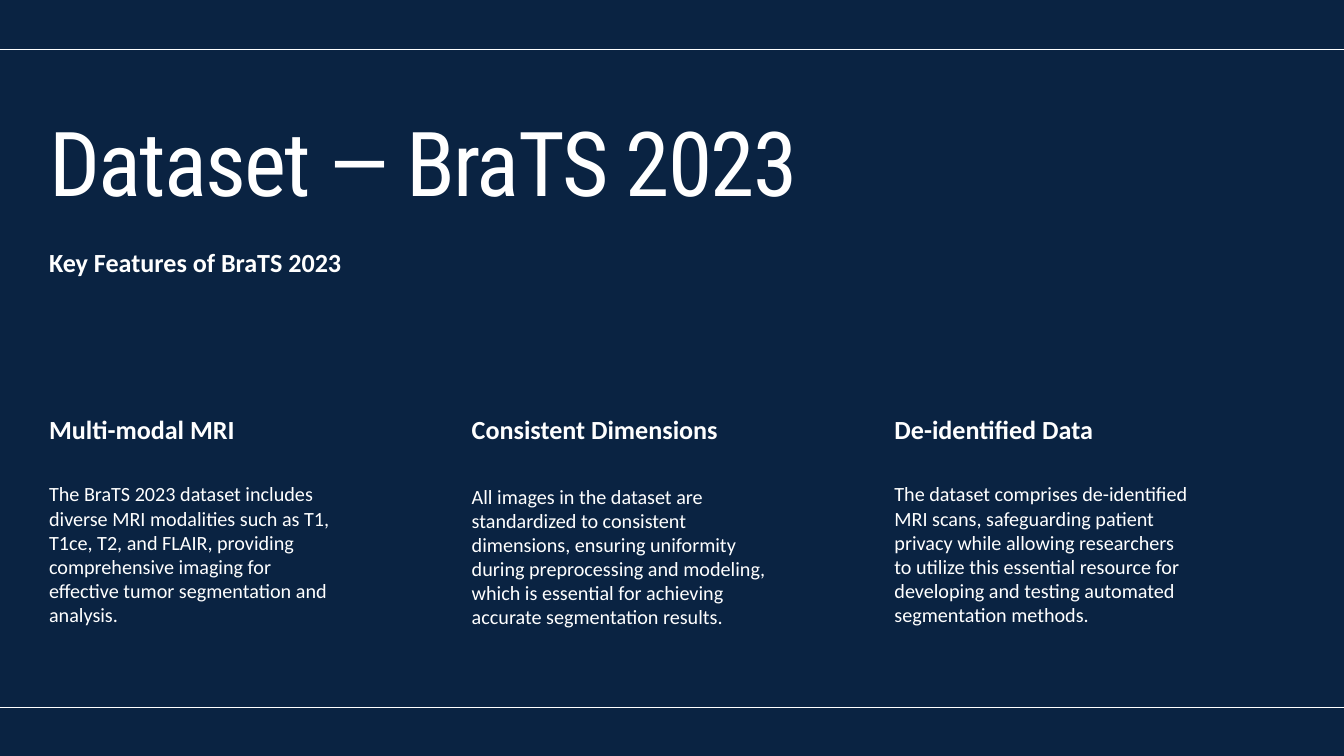
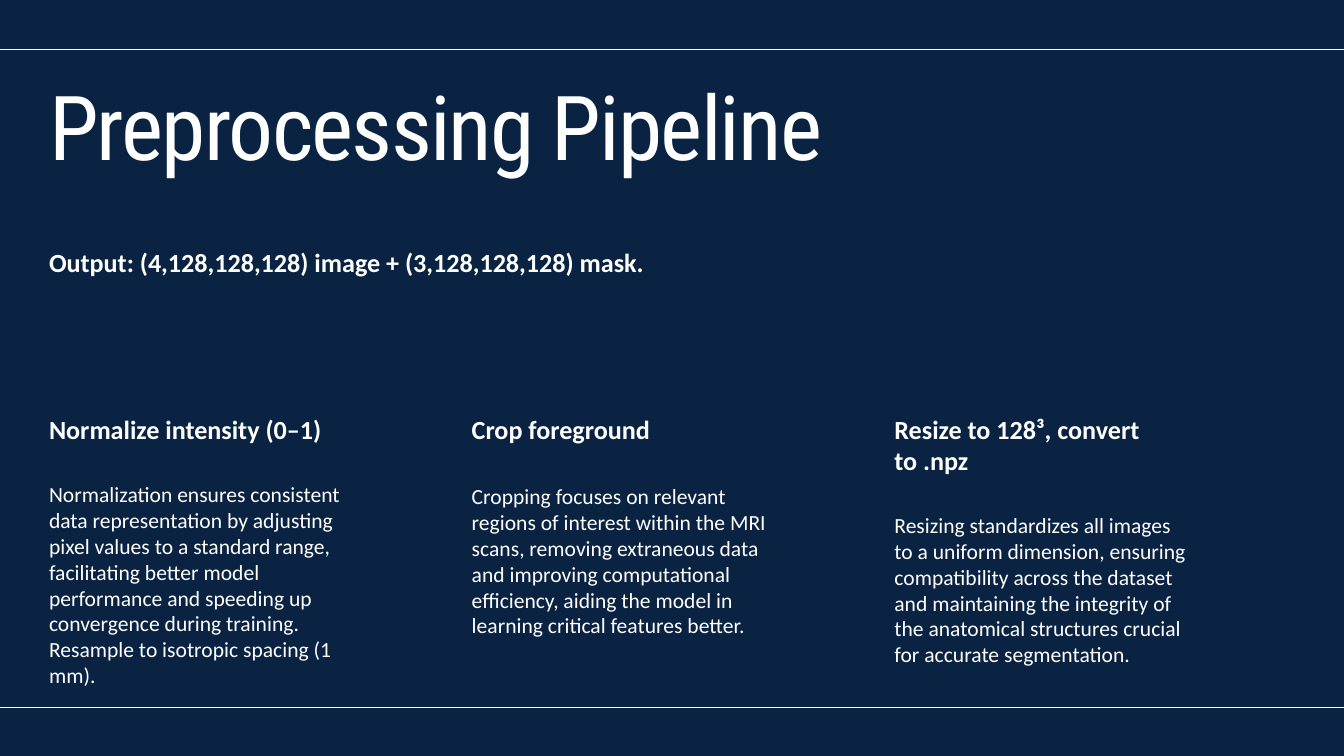
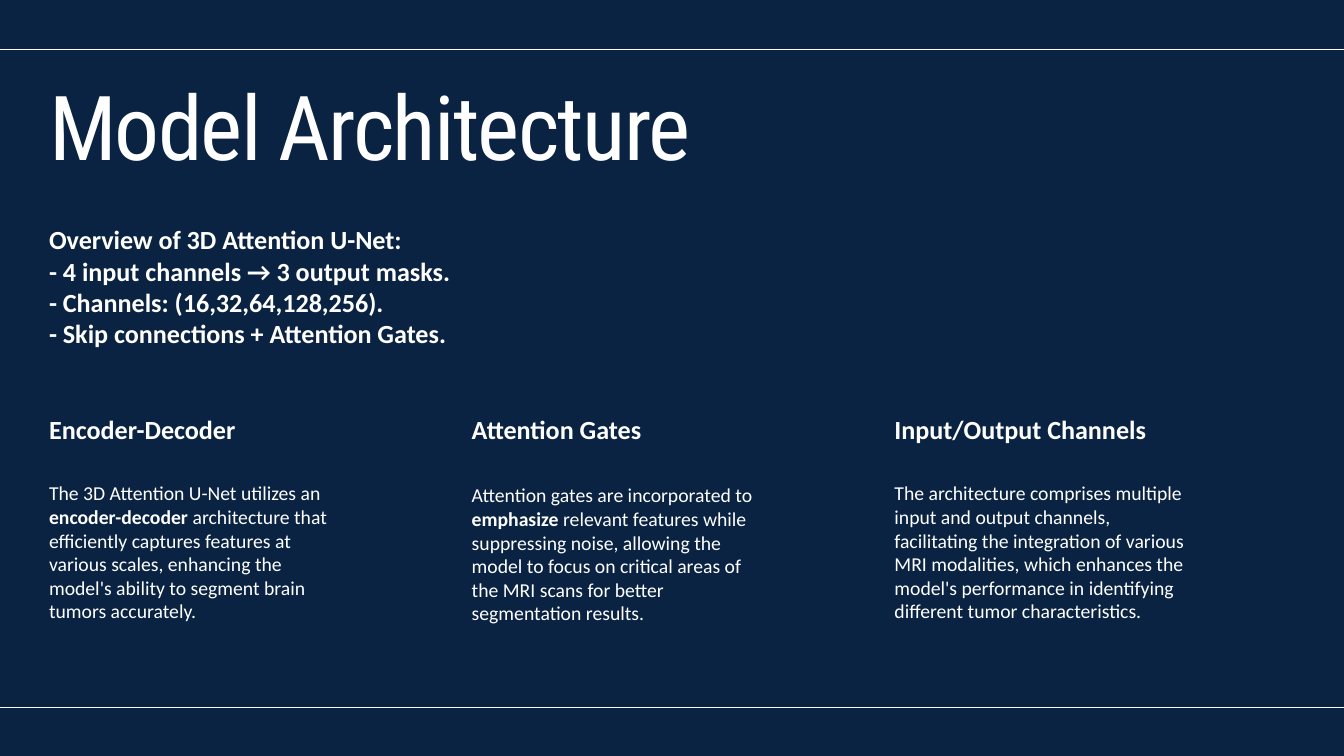
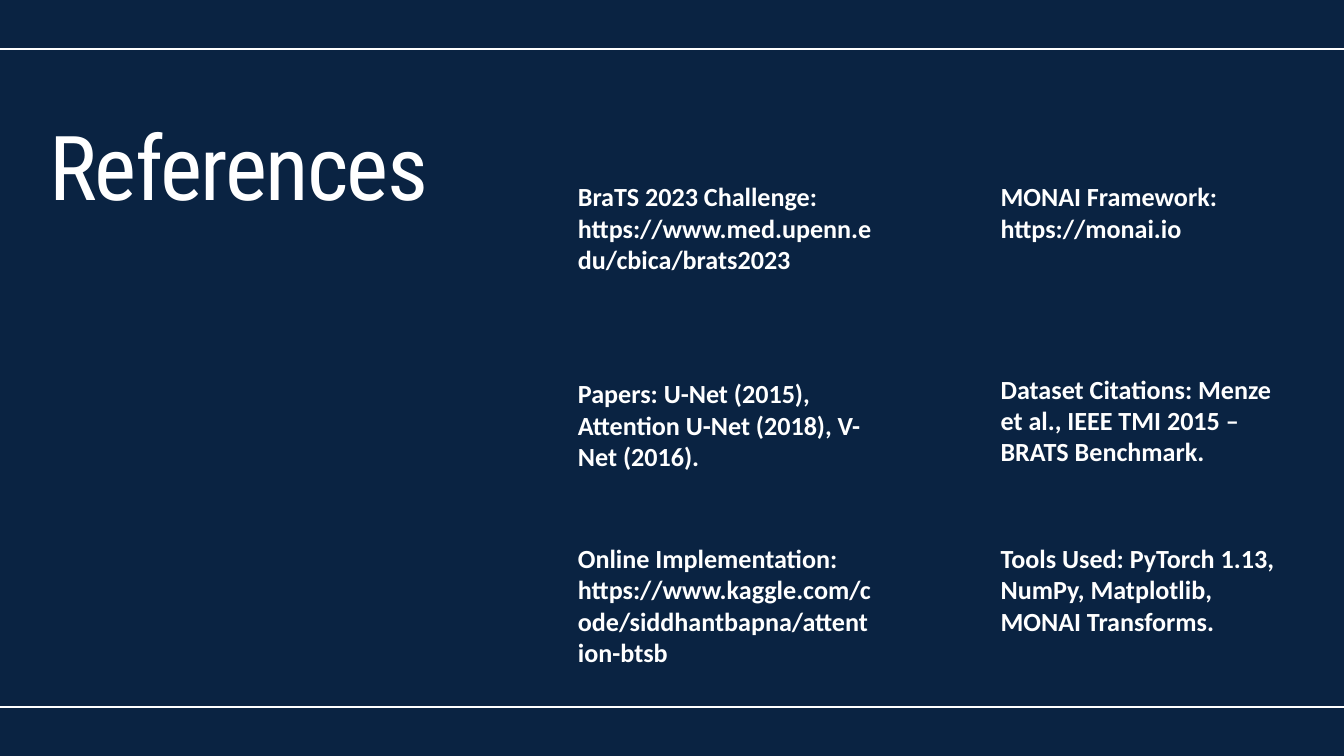
from dataclasses import dataclass
from typing import NamedTuple

from lxml.etree import SubElement
from pptx import Presentation
from pptx.dml.color import RGBColor
from pptx.enum.shapes import MSO_CONNECTOR
from pptx.enum.text import MSO_AUTO_SIZE
from pptx.oxml.ns import qn
from pptx.util import Inches, Pt


class Style(NamedTuple):
    font: str
    size: float
    lead: float
    bold: bool = False
    track: float = 0


@dataclass(frozen=True)
class Theme:
    back: RGBColor = RGBColor(0x0A, 0x23, 0x42)
    ink: RGBColor = RGBColor(0xFF, 0xFF, 0xFF)
    rule: float = 1.5
    title: Style = Style("Roboto Condensed", 96, 96, track=-1.9)
    head: Style = Style("Calibri", 28, 33.6, bold=True)

    def body(self, size: float, lead: float) -> Style:
        return Style("Calibri", size, lead)


class Run(NamedTuple):
    text: str
    bold: bool = False


class Box(NamedTuple):
    left: float
    top: float
    width: float
    height: float


class Column(NamedTuple):
    head: str
    body: list[Run]
    top: float
    height: float
    width: float = 4.39
    rows: int = 1


class Topic(NamedTuple):
    title: str
    top: float
    lines: list[str]
    note: float
    style: Style
    cols: list[Column]


class Source(NamedTuple):
    text: str
    col: int
    top: float
    rows: int


THEME = Theme()
WIDE, HIGH = 20, 11.25
EDGE, STEP = 0.73, 6.29
FULL = WIDE - 2 * EDGE
ROW = 0.46
HEAD_TOP = 6.15
REF_LEFT, REF_WIDE = 8.6, 4.39

TOPICS = [
    Topic(
        "Dataset — BraTS 2023", 1.86, ["Key Features of BraTS 2023"], 3.67,
        THEME.body(21.6, 25.9),
        [
            Column("Multi-modal MRI", [Run(
                "The BraTS 2023 dataset includes diverse MRI modalities such as "
                "T1, T1ce, T2, and FLAIR, providing comprehensive imaging for "
                "effective tumor segmentation and analysis.")], 7.17, 2.12),
            Column("Consistent Dimensions", [Run(
                "All images in the dataset are standardized to consistent "
                "dimensions, ensuring uniformity during preprocessing and "
                "modeling, which is essential for achieving accurate "
                "segmentation results.")], 7.2, 2.48),
            Column("De-identified Data", [Run(
                "The dataset comprises de-identified MRI scans, safeguarding "
                "patient privacy while allowing researchers to utilize this "
                "essential resource for developing and testing automated "
                "segmentation methods.")], 7.17, 2.48),
        ],
    ),
    Topic(
        "Preprocessing Pipeline", 1.32,
        ["Output: (4,128,128,128) image + (3,128,128,128) mask."], 3.67,
        THEME.body(23.1, 27.7),
        [
            Column("Normalize intensity (0–1)", [Run(
                "Normalization ensures consistent data representation by "
                "adjusting pixel values to a standard range, facilitating "
                "better model performance and speeding up convergence during "
                "training. Resample to isotropic spacing (1 mm).")],
                7.16, 3.01, width=4.57),
            Column("Crop foreground", [Run(
                "Cropping focuses on relevant regions of interest within the "
                "MRI scans, removing extraneous data and improving "
                "computational efficiency, aiding the model in learning "
                "critical features better.")], 7.19, 2.63),
            Column("Resize to 128³, convert to .npz", [Run(
                "Resizing standardizes all images to a uniform dimension, "
                "ensuring compatibility across the dataset and maintaining the "
                "integrity of the anatomical structures crucial for accurate "
                "segmentation.")], 7.62, 2.63, rows=2),
        ],
    ),
    Topic(
        "Model Architecture", 1.32,
        [
            "Overview of 3D Attention U-Net:",
            "- 4 input channels → 3 output masks.",
            "- Channels: (16,32,64,128,256).",
            "- Skip connections + Attention Gates.",
        ], 3.33,
        THEME.body(21.1, 25.3),
        [
            Column("Encoder-Decoder", [
                Run("The 3D Attention U-Net utilizes an "),
                Run("encoder-decoder", bold=True),
                Run(" architecture that efficiently captures features at "
                    "various scales, enhancing the model's ability to segment "
                    "brain tumors accurately.")], 7.16, 2.07),
            Column("Attention Gates", [
                Run("Attention gates are incorporated to "),
                Run("emphasize", bold=True),
                Run(" relevant features while suppressing noise, allowing the "
                    "model to focus on critical areas of the MRI scans for "
                    "better segmentation results.")], 7.19, 2.07),
            Column("Input/Output Channels", [Run(
                "The architecture comprises multiple input and output "
                "channels, facilitating the integration of various MRI "
                "modalities, which enhances the model's performance in "
                "identifying different tumor characteristics.")], 7.16, 2.76),
        ],
    ),
]

SOURCES = [
    Source("BraTS 2023 Challenge: https://www.med.upenn.edu/cbica/brats2023",
           0, 2.69, 3),
    Source("MONAI Framework: https://monai.io", 1, 2.69, 2),
    Source("Dataset Citations: Menze et al., IEEE TMI 2015 – BRATS Benchmark.",
           1, 5.55, 3),
    Source("Papers: U-Net (2015), Attention U-Net (2018), V-Net (2016).",
           0, 5.62, 3),
    Source("Online Implementation: "
           "https://www.kaggle.com/code/siddhantbapna/attention-btsb",
           0, 8.07, 4),
    Source("Tools Used: PyTorch 1.13, NumPy, Matplotlib, MONAI Transforms.",
           1, 8.07, 3),
]


def add_text(shapes, box: Box, paras: list[list[Run]], style: Style) -> None:
    frame = shapes.add_textbox(*map(Inches, box)).text_frame
    frame.word_wrap = True
    frame.auto_size = MSO_AUTO_SIZE.SHAPE_TO_FIT_TEXT
    frame.margin_left = frame.margin_right = 0
    frame.margin_top = frame.margin_bottom = 0
    for i, runs in enumerate(paras):
        para = frame.add_paragraph() if i else frame.paragraphs[0]
        para.line_spacing = Pt(style.lead)
        for part in runs:
            run = para.add_run()
            run.text = part.text
            run.font.name = style.font
            run.font.size = Pt(style.size)
            run.font.bold = style.bold or part.bold
            run.font.color.rgb = THEME.ink
            if style.track:
                run._r.get_or_add_rPr().set("spc", str(round(style.track * 100)))


def add_rule(slide, top: float) -> None:
    line = slide.shapes.add_connector(
        MSO_CONNECTOR.STRAIGHT, 0, Inches(top), Inches(WIDE), Inches(top))
    line.line.color.rgb = THEME.ink
    line.line.width = Pt(THEME.rule)
    SubElement(line._element.spPr, qn("a:effectLst"))


def add_page(deck, title: str, box: Box, rules: tuple[float, float]):
    """Add a slide with the shared background, title and two rules."""
    slide = deck.slides.add_slide(deck.slide_layouts[6])
    fill = slide.background.fill
    fill.solid()
    fill.fore_color.rgb = THEME.back
    add_text(slide.shapes, box, [[Run(title)]], THEME.title)
    for top in rules:
        add_rule(slide, top)
    return slide


def add_column(slide, left: float, col: Column, style: Style) -> None:
    shapes = slide.shapes.add_group_shape().shapes
    add_text(shapes, Box(left, HEAD_TOP, col.width, ROW * col.rows),
             [[Run(col.head)]], THEME.head)
    add_text(shapes, Box(left, col.top, col.width, col.height),
             [col.body], style)


def add_topic(deck, topic: Topic) -> None:
    slide = add_page(deck, topic.title, Box(EDGE, topic.top, FULL, 1.4),
                     (0.74, 10.53))
    add_text(slide.shapes,
             Box(EDGE, topic.note, FULL, ROW * len(topic.lines)),
             [[Run(line)] for line in topic.lines], THEME.head)
    for i, col in enumerate(topic.cols):
        add_column(slide, EDGE + i * STEP, col, topic.style)


def add_sources(deck) -> None:
    slide = add_page(deck, "References", Box(EDGE, 1.91, 5.96, 1.4),
                     (0.73, 10.52))
    for ref in SOURCES:
        box = Box(REF_LEFT + ref.col * STEP, ref.top, REF_WIDE, ROW * ref.rows)
        add_text(slide.shapes, box, [[Run(ref.text)]], THEME.head)


def main() -> None:
    deck = Presentation()
    deck.slide_width, deck.slide_height = Inches(WIDE), Inches(HIGH)
    for topic in TOPICS:
        add_topic(deck, topic)
    add_sources(deck)
    deck.save("out.pptx")


if __name__ == "__main__":
    main()
